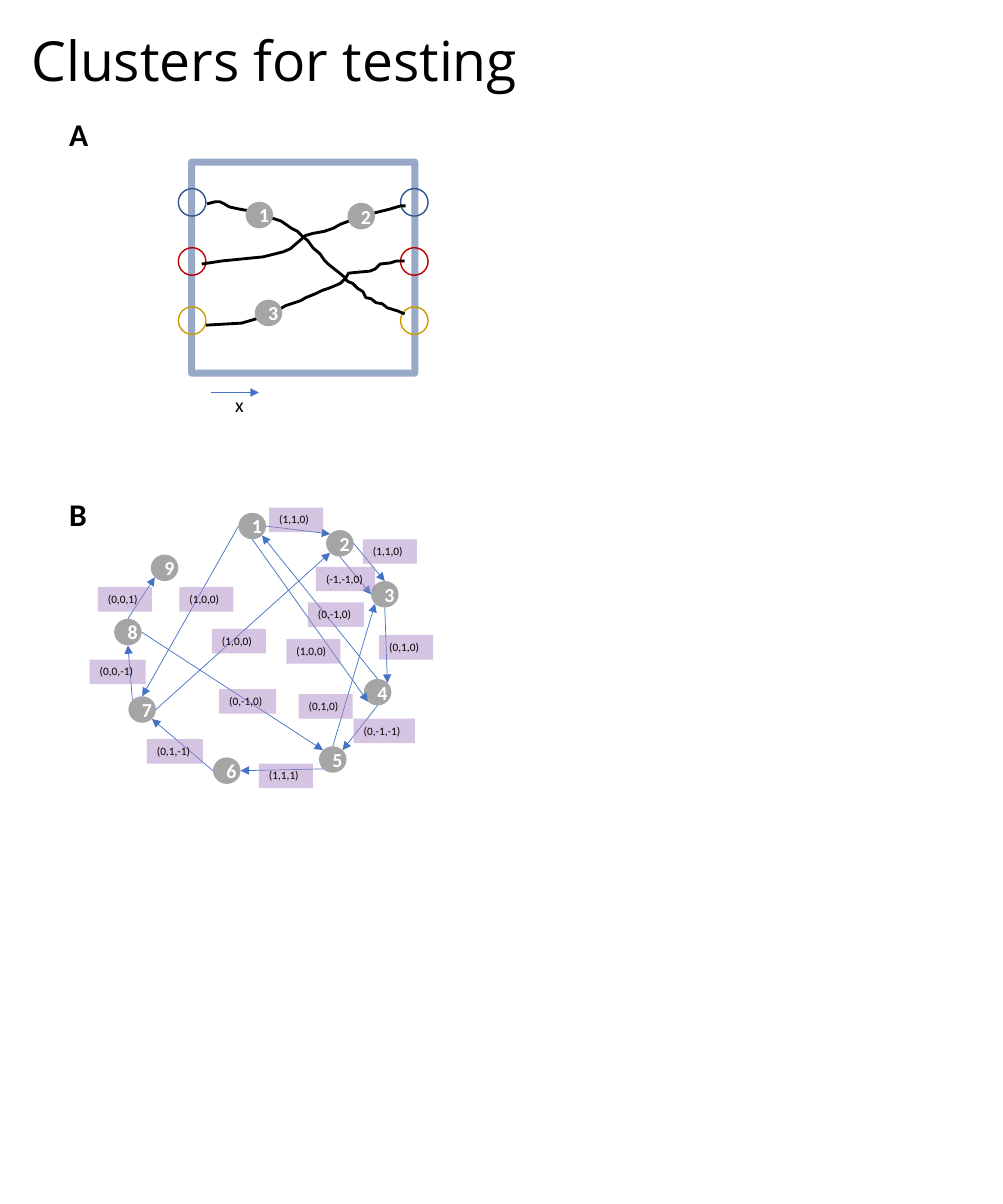
from typing import NamedTuple

from lxml import etree
from pptx import Presentation, util as u
from pptx.dml import color
from pptx.enum import shapes, text
from pptx.oxml import ns

COLORS = {"black": "000000", "white": "FFFFFF", "frame": "325491", "red": "C00000",
          "gold": "CC9B01", "node": "A5A5A5", "arrow": "4472C4", "label": "AD8AC4"}
NODE_W, NODE_H = 0.27, 0.26
LABEL_H = 0.24
D = 0.71  # cosine of 45 degrees
SITES = {"n": (0, -1), "ne": (D, -D), "e": (1, 0), "se": (D, D),
         "s": (0, 1), "sw": (-D, D), "w": (-1, 0), "nw": (-D, -D)}


class Node(NamedTuple):
    """A numbered particle with its top left corner."""
    number: int
    left: float
    top: float


class Edge(NamedTuple):
    """An arrow between named sites on two nodes."""
    start: int
    start_site: str
    end: int
    end_site: str


class Label(NamedTuple):
    """A lattice vector label."""
    vector: str
    left: float
    top: float
    width: float = 0.53


class Caption(NamedTuple):
    """Plain text on the slide."""
    words: str
    left: float
    top: float
    width: float
    height: float
    size: float
    bold: bool = False
    font: str = "Calibri"
    wrap: bool = False
    anchor: text.MSO_ANCHOR = text.MSO_ANCHOR.TOP


PORT_ROWS = [(1.85, "frame"), (2.43, "red"), (3.01, "gold")]
PORT_COLUMNS = [1.75, 3.93]
CHAINS = [
    [(2.03, 2), (2.11, 1.98), (2.16, 1.98), (2.2, 2), (2.25, 2.03), (2.34, 2.05),
     (2.51, 2.08), (2.61, 2.12), (2.76, 2.17), (2.86, 2.24), (2.92, 2.27), (2.97, 2.32),
     (3.02, 2.36), (3.07, 2.43), (3.14, 2.49), (3.18, 2.55), (3.22, 2.59), (3.27, 2.63),
     (3.32, 2.67), (3.37, 2.71), (3.41, 2.76), (3.46, 2.78), (3.51, 2.83), (3.56, 2.86),
     (3.59, 2.92), (3.64, 2.93), (3.69, 2.97), (3.75, 2.98), (3.8, 3.02), (3.9, 3.05),
     (3.97, 3.08)],
    [(2.02, 3.19), (2.37, 3.17), (2.44, 3.15), (2.54, 3.12), (2.69, 3.07), (2.75, 3.03),
     (2.8, 3), (2.95, 2.95), (3, 2.92), (3.1, 2.88), (3.16, 2.85), (3.22, 2.83),
     (3.27, 2.81), (3.34, 2.78), (3.39, 2.73), (3.42, 2.68), (3.52, 2.67), (3.63, 2.66),
     (3.68, 2.64), (3.73, 2.59), (3.83, 2.58), (3.89, 2.56), (3.97, 2.56)],
    [(1.98, 2.59), (2.18, 2.56), (2.38, 2.54), (2.58, 2.52), (2.78, 2.47), (2.85, 2.44),
     (2.93, 2.37), (3, 2.31), (3.07, 2.29), (3.18, 2.27), (3.27, 2.24), (3.34, 2.2),
     (3.42, 2.17), (3.58, 2.12), (3.63, 2.1), (3.71, 2.08), (3.83, 2.05), (3.93, 2.02),
     (3.98, 2.02)],
]
CHAIN_NODES = [Node(1, 2.41, 1.98), Node(2, 3.41, 1.99), Node(3, 2.5, 2.94)]
GRAPH_NODES = [
    Node(1, 2.34, 5.03), Node(2, 3.2, 5.2), Node(3, 3.64, 5.7),
    Node(4, 3.57, 6.66), Node(5, 3.13, 7.32), Node(6, 2.09, 7.43),
    Node(7, 1.26, 6.83), Node(8, 1.12, 6.07), Node(9, 1.48, 5.44),
]
EDGES = [
    Edge(2, "e", 3, "n"), Edge(1, "e", 2, "nw"), Edge(2, "s", 3, "w"),
    Edge(1, "s", 4, "sw"), Edge(4, "n", 1, "se"), Edge(3, "s", 4, "ne"),
    Edge(4, "s", 5, "ne"), Edge(5, "sw", 6, "e"), Edge(5, "n", 3, "sw"),
    Edge(6, "w", 7, "se"), Edge(7, "e", 2, "sw"), Edge(7, "nw", 8, "s"),
    Edge(8, "e", 5, "nw"), Edge(8, "n", 9, "sw"), Edge(1, "w", 7, "n"),
]
LABELS = [
    Label("(1,1,0)", 2.64, 4.98), Label("(1,1,0)", 3.56, 5.29),
    Label("(-1,-1,0)", 3.1, 5.56, 0.58), Label("(0,1,0)", 3.72, 6.23),
    Label("(0,-1,-1)", 3.47, 7.05, 0.6), Label("(1,1,1)", 2.54, 7.49),
    Label("(0,-1,0)", 2.15, 6.76, 0.56), Label("(0,1,-1)", 1.44, 7.25, 0.55),
    Label("(0,0,-1)", 0.88, 6.47, 0.55), Label("(0,0,1)", 0.96, 5.76),
    Label("(1,0,0)", 1.76, 5.76), Label("(0,-1,0)", 3.02, 5.91, 0.55),
    Label("(1,0,0)", 2.81, 6.27), Label("(0,1,0)", 2.93, 6.81),
    Label("(1,0,0)", 2.08, 6.17),
]
CAPTIONS = [
    Caption("Clusters for testing", 0.21, 0.31, 8.56, 0.62, 39, font="Open Sans",
            wrap=True, anchor=text.MSO_ANCHOR.MIDDLE),
    Caption("A", 0.58, 1.08, 0.43, 0.48, 22.3, bold=True),
    Caption("B", 0.58, 4.81, 0.4, 0.48, 22.3, bold=True),
    Caption("x", 2.21, 3.8, 0.3, 0.34, 14),
]


def rgb(name: str) -> color.RGBColor:
    """Look up a named colour."""
    return color.RGBColor.from_string(COLORS[name])


def add_alpha(fill, percent: int) -> None:
    """Make the solid colour of a shape or line partly transparent."""
    for tint in fill.iter(ns.qn("a:srgbClr")):
        etree.SubElement(tint, ns.qn("a:alpha"), val=str(percent * 1000))


def write(shape, words: str, size: float, ink: str = "black", bold: bool = False,
          font: str = "Calibri") -> None:
    """Put one formatted paragraph in a shape."""
    shape.text_frame.text = words
    style = shape.text_frame.paragraphs[0].runs[0].font
    style.size, style.bold, style.name = u.Pt(size), bold, font
    style.color.rgb = rgb(ink)


def add_caption(slide, caption: Caption) -> None:
    """Draw plain text."""
    box = slide.shapes.add_textbox(*map(u.Inches, caption[1:5]))
    write(box, caption.words, caption.size, bold=caption.bold, font=caption.font)
    box.text_frame.word_wrap = caption.wrap
    box.text_frame.vertical_anchor = caption.anchor
    if caption.wrap:
        box.text_frame.paragraphs[0].line_spacing = 0.9


def set_outline(shape, ink: str, weight: float) -> None:
    """Leave a shape unfilled with a coloured outline."""
    shape.shadow.inherit = False
    shape.fill.background()
    shape.line.color.rgb = rgb(ink)
    shape.line.width = u.Pt(weight)


def add_outline(slide, kind, left: float, top: float, width: float, height: float,
                ink: str, weight: float):
    """Draw an unfilled preset shape."""
    shape = slide.shapes.add_shape(kind, *map(u.Inches, (left, top, width, height)))
    set_outline(shape, ink, weight)
    return shape


def add_chain(slide, points: list) -> None:
    """Draw a polymer chain through its points."""
    start, *rest = [(u.Inches(x), u.Inches(y)) for x, y in points]
    builder = slide.shapes.build_freeform(*start)
    builder.add_line_segments(rest, close=False)
    set_outline(builder.convert_to_shape(), "black", 2)


def add_node(slide, node: Node) -> None:
    """Draw a numbered grey disc."""
    disc = slide.shapes.add_shape(
        shapes.MSO_SHAPE.OVAL, *map(u.Inches, (node.left, node.top, NODE_W, NODE_H)))
    disc.shadow.inherit = False
    disc.fill.solid()
    disc.fill.fore_color.rgb = rgb("node")
    disc.line.fill.background()
    write(disc, str(node.number), 14, "white", bold=True)
    disc.text_frame.paragraphs[0].alignment = text.PP_ALIGN.CENTER


def site_point(node: Node, site: str) -> tuple[float, float]:
    """Find a compass point on the rim of a node."""
    dx, dy = SITES[site]
    return node.left + NODE_W / 2 * (1 + dx), node.top + NODE_H / 2 * (1 + dy)


def add_arrow(slide, start: tuple[float, float], end: tuple[float, float]) -> None:
    """Draw a thin arrow."""
    arrow = slide.shapes.add_connector(
        shapes.MSO_CONNECTOR.STRAIGHT, *map(u.Inches, (*start, *end)))
    arrow.line.color.rgb = rgb("arrow")
    arrow.line.width = u.Pt(0.5)
    etree.SubElement(arrow.line._get_or_add_ln(), ns.qn("a:tailEnd"), type="triangle")
    etree.SubElement(arrow._element.spPr, ns.qn("a:effectLst"))


def add_label(slide, label: Label) -> None:
    """Draw a translucent vector label."""
    box = slide.shapes.add_textbox(
        *map(u.Inches, (label.left, label.top, label.width, LABEL_H)))
    box.fill.solid()
    box.fill.fore_color.rgb = rgb("label")
    add_alpha(box._element.spPr, 49)
    write(box, label.vector, 8)
    box.text_frame.word_wrap = True


def main() -> None:
    """Build the slide and save it."""
    deck = Presentation()
    deck.slide_width, deck.slide_height = u.Inches(9.84), u.Inches(11.81)
    slide = deck.slides.add_slide(deck.slide_layouts[6])
    for caption in CAPTIONS:
        add_caption(slide, caption)

    cell = add_outline(slide, shapes.MSO_SHAPE.RECTANGLE, 1.88, 1.59, 2.19, 2.07, "frame", 5)
    add_alpha(cell._element.spPr, 49)
    for top, ink in PORT_ROWS:
        for left in PORT_COLUMNS:
            add_outline(slide, shapes.MSO_SHAPE.OVAL, left, top, 0.27, 0.27, ink, 1)
    for points in CHAINS:
        add_chain(slide, points)
    add_arrow(slide, (2.07, 3.85), (2.54, 3.85))

    for node in CHAIN_NODES + GRAPH_NODES:
        add_node(slide, node)
    by_number = {node.number: node for node in GRAPH_NODES}
    for edge in EDGES:
        add_arrow(slide, site_point(by_number[edge.start], edge.start_site),
                  site_point(by_number[edge.end], edge.end_site))
    for label in LABELS:
        add_label(slide, label)
    deck.save("out.pptx")


main()
